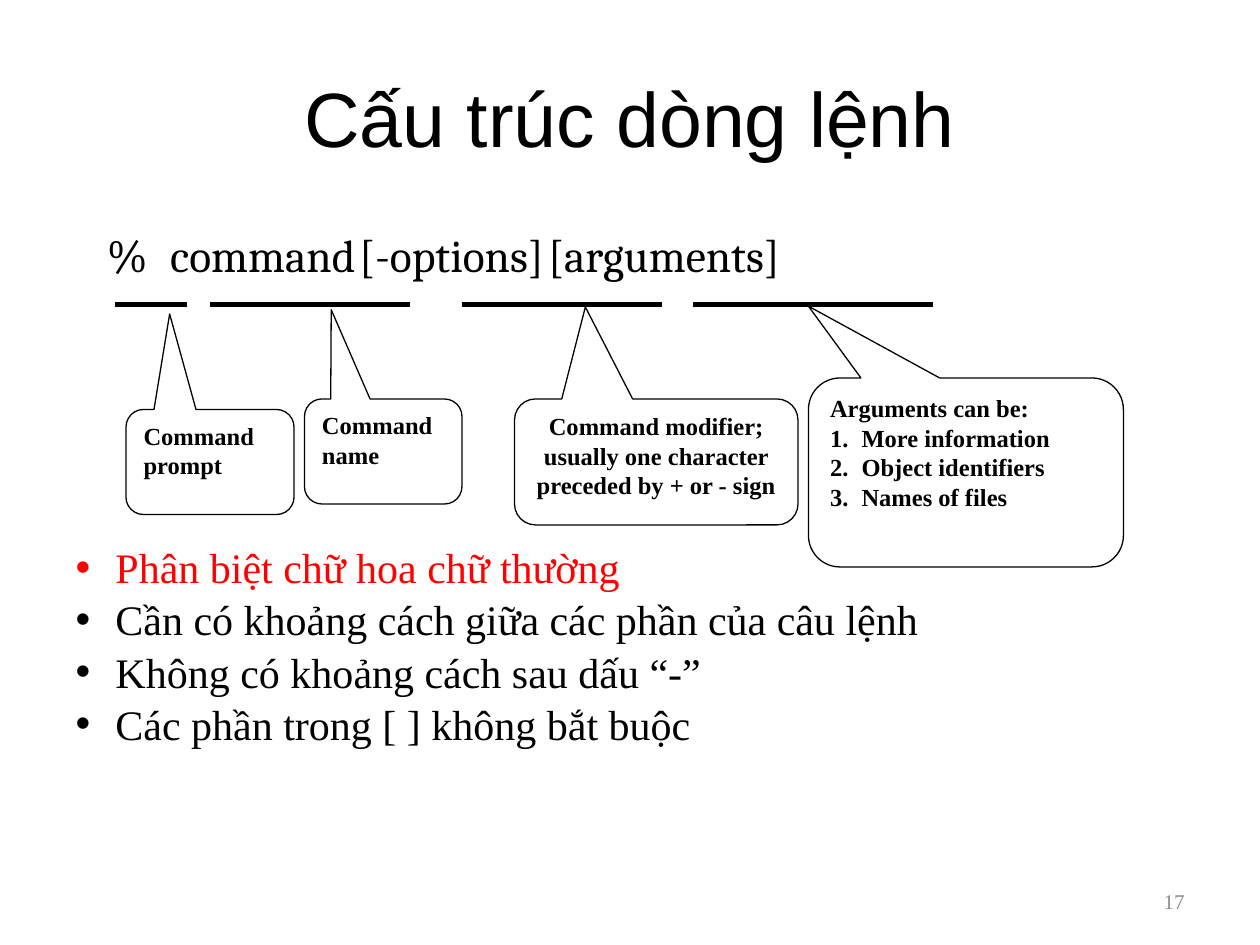
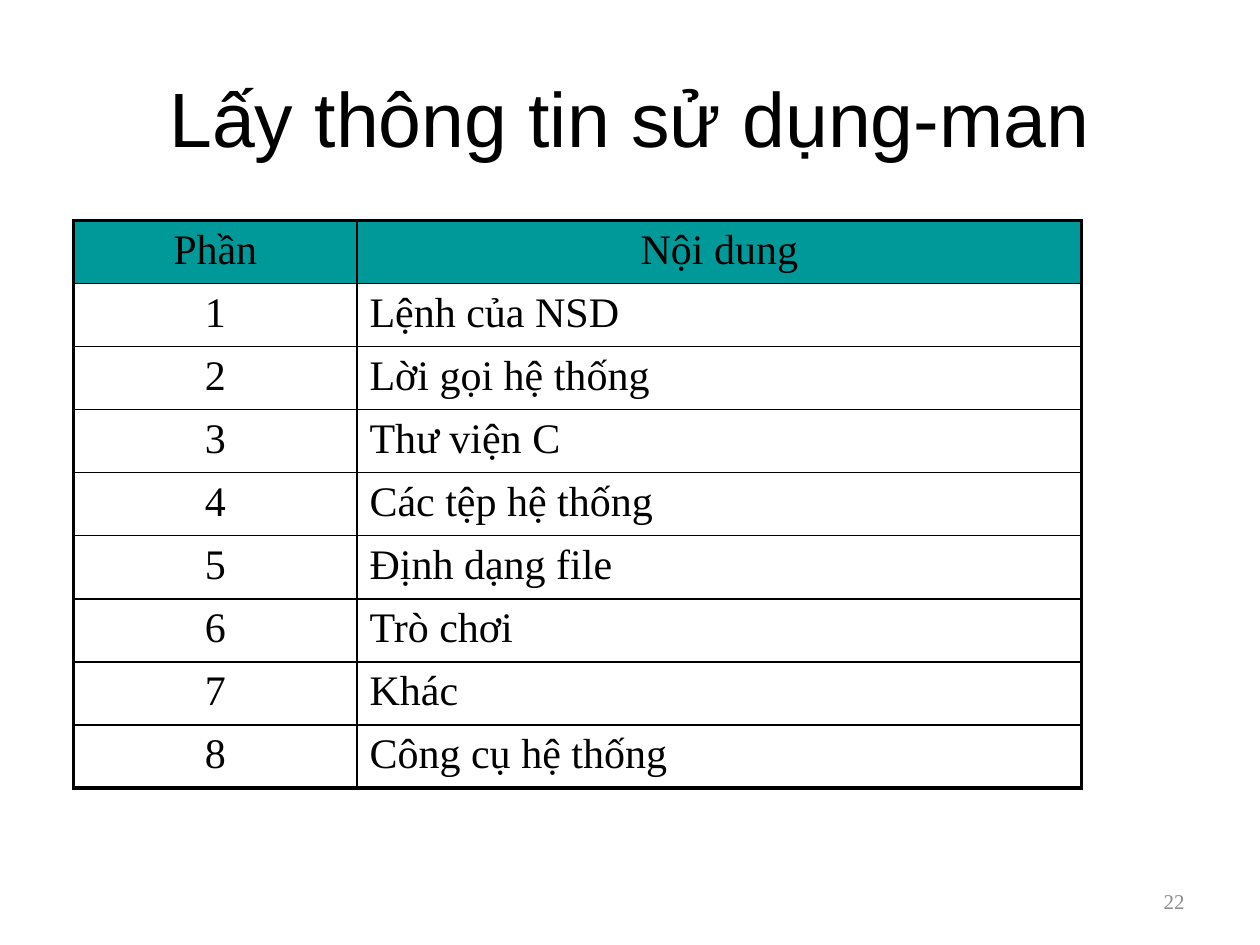
from lxml import etree
from pptx import Presentation
from pptx.dml.color import RGBColor
from pptx.enum import shapes, text
from pptx.oxml import ns
from pptx.util import Pt

PX = 7620  # EMU in one px, 120 px to the inch
COLORS = {"ink": "000000", "alert": "FF0000", "header": "009999", "number": "8C8C8C"}
TITLE_FONT, COMMAND_FONT, TEXT_FONT = "Arial", "Cambria", "Times New Roman"
LEFT, CENTER, RIGHT = text.PP_ALIGN.LEFT, text.PP_ALIGN.CENTER, text.PP_ALIGN.RIGHT


def write(frame, words, size, font=TEXT_FONT, color="ink", align=LEFT, bold=False):
    """Put words in a text frame, one paragraph a line, and format every run."""
    frame.text = words
    for para in frame.paragraphs:
        para.alignment = align
        for span in para.runs:
            span.font.size = Pt(size)
            span.font.name = font
            span.font.bold = bold
            span.font.color.rgb = RGBColor.from_string(COLORS[color])


def place(box, left, top, width, height):
    box.left, box.top, box.width, box.height = (n * PX for n in (left, top, width, height))


deck = Presentation()
deck.slide_width, deck.slide_height = 1200 * PX, 900 * PX

# Title and page number on both slides
pages = []
for layout, title, number in ((3, "Cấu trúc dòng lệnh", "17"),
                              (5, "Lấy thông tin sử dụng-man", "22")):
    page = deck.slides.add_slide(deck.slide_layouts[layout])
    place(page.shapes.title, 60, 36, 1080, 150)
    write(page.shapes.title.text_frame, title, 44, TITLE_FONT, align=CENTER)
    box = page.shapes.add_textbox(860 * PX, 834 * PX, 280 * PX, 48 * PX)
    box.text_frame.word_wrap = True
    box.text_frame.vertical_anchor = text.MSO_ANCHOR.MIDDLE
    write(box.text_frame, number, 12, color="number", align=RIGHT)
    pages.append(page)
command_page, manual_page = pages

# Command line, its parts set at tab stops
command_line, rules = list(command_page.placeholders)[1:]
place(command_line, 60, 210, 1080, 70)
frame = command_line.text_frame
frame.auto_size = text.MSO_AUTO_SIZE.NONE
frame.margin_left = 42 * PX
write(frame, "%\tcommand\t[-options]\t[arguments]", 26, COMMAND_FONT)
props = frame.paragraphs[0]._p.get_or_add_pPr()
props.set("marL", "0")
props.set("indent", "0")
etree.SubElement(props, ns.qn("a:buNone"))
tabs = etree.SubElement(props, ns.qn("a:tabLst"))
for stop in (66, 292, 506):
    etree.SubElement(tabs, ns.qn("a:tab"), pos=str(stop * PX), algn="l")

# Underlines below the parts
for start, end in ((110, 178), (200, 390), (440, 630), (660, 889)):
    underline = command_page.shapes.add_connector(
        shapes.MSO_CONNECTOR.STRAIGHT, start * PX, 290 * PX, end * PX, 290 * PX)
    underline.line.color.rgb = RGBColor.from_string(COLORS["ink"])
    underline.line.width = Pt(3)
    etree.SubElement(underline._element.spPr, ns.qn("a:effectLst"))

# Callouts: bounds, tail tip, alignment, words
callouts = (
    ((120, 390, 160, 100), (-0.24, -1.41), LEFT, "Command prompt"),
    ((290, 380, 150, 100), (-0.33, -1.35), LEFT, "Command name"),
    ((490, 380, 270, 120), (-0.25, -1.23), CENTER,
     "Command modifier; usually one character preceded by + or - sign"),
    ((770, 360, 300, 180), (-0.5, -0.88), LEFT,
     "Arguments can be:\n1.\tMore information\n2.\tObject identifiers\n3.\tNames of files"),
)
for bounds, tail, align, words in callouts:
    callout = command_page.shapes.add_shape(
        shapes.MSO_SHAPE.ROUNDED_RECTANGULAR_CALLOUT, *(n * PX for n in bounds))
    callout.shadow.inherit = False
    callout.fill.background()
    callout.line.color.rgb = RGBColor.from_string(COLORS["ink"])
    callout.line.width = Pt(0.75)
    callout.adjustments[0], callout.adjustments[1] = tail
    callout.text_frame.vertical_anchor = text.MSO_ANCHOR.TOP
    write(callout.text_frame, words, 14, align=align, bold=True)
    for para in callout.text_frame.paragraphs[1:]:
        props = para._p.get_or_add_pPr()
        props.set("marL", str(30 * PX))
        props.set("indent", str(-30 * PX))

# Rules of the command line
place(rules, 60, 510, 1060, 206)
rules.text_frame.auto_size = text.MSO_AUTO_SIZE.NONE
write(rules.text_frame,
      "Phân biệt chữ hoa chữ thường\n"
      "Cần có khoảng cách giữa các phần của câu lệnh\n"
      "Không có khoảng cách sau dấu “-”\n"
      "Các phần trong [ ] không bắt buộc", 24)
for para in rules.text_frame.paragraphs:
    para.space_before = Pt(1)
    props = para._p.get_or_add_pPr()
    props.set("marL", str(38 * PX))
    props.set("indent", str(-38 * PX))
    etree.SubElement(props, ns.qn("a:buChar"), char="•")
first_rule = rules.text_frame.paragraphs[0].runs[0]
first_rule.font.color.rgb = RGBColor.from_string(COLORS["alert"])

# Manual sections
sections = ("Lệnh của NSD", "Lời gọi hệ thống", "Thư viện C", "Các tệp hệ thống",
            "Định dạng file", "Trò chơi", "Khác", "Công cụ hệ thống")
rows = [("Phần", "Nội dung")] + [(str(n), name) for n, name in enumerate(sections, 1)]
last_row = len(rows) - 1
table = manual_page.shapes.add_table(
    len(rows), 2, 70 * PX, 210 * PX, 960 * PX, 59 * PX * len(rows)).table
table.first_row = table.horz_banding = False
table.columns[0].width, table.columns[1].width = 270 * PX, 690 * PX
for r, row in enumerate(rows):
    for c, words in enumerate(row):
        cell = table.cell(r, c)
        write(cell.text_frame, words, 24, align=CENTER if r == 0 or c == 0 else LEFT)
        outer_sides = {"lnL": c == 0, "lnR": c == 1, "lnT": r == 0, "lnB": r == last_row}
        for side, outer in outer_sides.items():
            border = etree.SubElement(cell._tc.get_or_add_tcPr(), ns.qn(f"a:{side}"),
                                      w=str(Pt(2.25 if outer else 1)))
            fill = etree.SubElement(border, ns.qn("a:solidFill"))
            etree.SubElement(fill, ns.qn("a:srgbClr"), val=COLORS["ink"])
        if r == 0:
            cell.fill.solid()
            cell.fill.fore_color.rgb = RGBColor.from_string(COLORS["header"])
        else:
            cell.fill.background()

deck.save("out.pptx")
